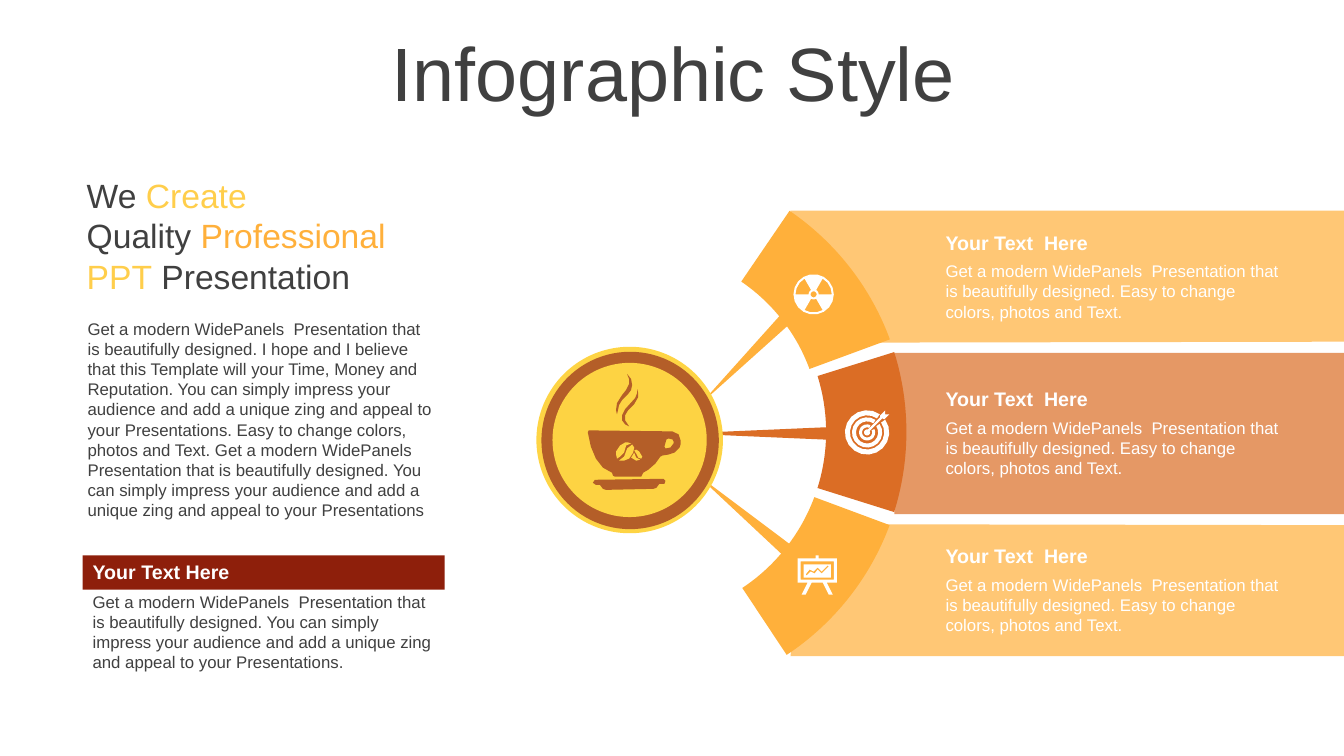
import math
from lxml import etree
from pptx import Presentation
from pptx import util as u
from pptx.dml.color import RGBColor
from pptx.enum import shapes, text
from pptx.oxml.ns import qn

PX = 9144  # one px is a hundredth of an inch
WIDE, HIGH = 1333, 750
FONT = "Arial"
DARK, WHITE, AMBER, RUST = "404040", "FFFFFF", "FFB03B", "DB6D25"
LEMON, GOLD, BROWN, MAROON = "FFCE4B", "FED444", "B45E28", "8E1F0B"

# Wording
TITLE = "Infographic Style"
SLOGAN = [[("We ", DARK), ("Create", LEMON)],
          [("Quality ", DARK), ("Professional", AMBER)],
          [("PPT", LEMON), (" Presentation", DARK)]]
START = "Get a modern WidePanels  Presentation that is beautifully designed. "
IMPRESS = ("You can simply impress your audience and add a unique zing "
           "and appeal to your Presentations")
EASY = "Easy to change colors, photos and Text."
STORY = (START + "I hope and I believe that this Template will your Time, "
         "Money and Reputation. " + IMPRESS + ". " + EASY + " " + START + IMPRESS)
NOTE_HEAD, NOTE = "Your Text Here", START + IMPRESS + "."
ITEM_HEAD, ITEM = "Your Text  Here", START + EASY
ITEM_TOPS = [224, 379, 535]

# Fan: band corners, arc adjustments, spokes (left, top, height, turn)
BANDS = [("784,209 1333,209 1333,339 798,340", AMBER),
         ("798,520 1333,521 1333,651 784,651", AMBER),
         ("887,350 1333,350 1333,510 887,510", RUST)]
ARCS = [((182.58, 203.86, 0.16), AMBER), ((205.59, 10.46, 0.15), RUST),
        ((12.23, 33.86, 0.15), AMBER)]
SPOKES = [(731, 298, 120, 225, AMBER), (746, 355, 150, 270, RUST),
          (729, 448, 120, 310, AMBER)]

# Icons: board loops, and the tip of the dart
BOARD = ["809,551 812,551 812,554 830,554 830,578 820,578 826,590 822,590 816,578 "
         "805,578 799,590 795,590 801,578 791,578 791,554 809,554",
         "794,557 827,557 827,575 794,575", "797,560 824,560 824,573 797,573",
         "821,561 822,562 815,569 811,565 808,569 804,567 800,571 "
         "799,570 803,565 807,567 811,563 815,567"]
DART_TIP = "860,427 873,414 873,412 878,407 878,411 882,411 877,416 875,415 862,428"

# Coffee badge: discs (left, top, size), then outlines of the drawing
DISCS = [(532, 344, 185, GOLD), (537, 349, 176, BROWN), (548, 360, 153, "FDD343")]
CUP = ["675,437 673,431 667,428 584,427 583,429 586,443 591,455 598,464 607,469 "
       "608,472 610,473 636,473 638,469 643,466 650,460 655,453 657,452 663,451 "
       "669,449 674,444 675,441",
       "668,440 665,444 660,445 659,443 661,436 663,435 667,436 668,438"]
SAUCER = ["601,486 598,485 595,481 591,481 588,479 590,476 658,475 660,477 659,480 "
          "654,480 651,484 648,485"]
STEAM = [["622,371 626,376 627,382 626,387 623,391 617,397 614,402 613,407 612,411 "
          "611,407 612,400 617,392 621,387 624,381 624,376"],
         ["632,386 633,390 633,394 629,401 623,407 620,412 620,417 624,423 620,421 "
          "617,417 617,412 620,406 630,395 632,390"]]
BEANS = [["614,457 619,453 622,445 627,441 629,444 628,449 624,455 619,457"],
         ["623,439 626,440 621,442 619,449 615,453 612,455 611,451 611,448 615,442 "
          "620,439"],
         ["637,453 636,455 633,454 631,450 629,447 631,446 634,448"],
         ["635,456 631,457 626,454 629,449 631,454"]]


def dots(line):
    return [tuple(map(int, pair.split(","))) for pair in line.split()]


def arc(x, y, r, a, b):
    steps = max(3, round(abs(b - a) / 20))
    turns = [math.radians(a + (b - a) * k / steps) for k in range(steps + 1)]
    return [(x + r * math.cos(t), y + r * math.sin(t)) for t in turns]


def slice_of(x, y, near, far, a, b):
    return arc(x, y, far, a, b) + arc(x, y, near, b, a)


def paint(shape, fill, alpha=None):
    shape.shadow.inherit = False
    shape.fill.solid()
    shape.fill.fore_color.rgb = RGBColor.from_string(fill)
    shape.line.fill.background()
    if alpha:
        tone = shape.fill._xPr.find(qn("a:solidFill"))[0]
        etree.SubElement(tone, qn("a:alpha")).set("val", str(alpha * 1000))
    return shape


def outline(loops, fill, alpha=None):
    loops = [[(x * PX, y * PX) for x, y in loop] for loop in loops]
    pen = slide.shapes.build_freeform(*loops[0][0], scale=1.0)
    for i, loop in enumerate(loops):
        if i:
            pen.move_to(*loop[0])
        pen.add_line_segments(loop[1:], close=True)
    return paint(pen.convert_to_shape(), fill, alpha)


def preset(kind, x, y, w, h, fill):
    return paint(slide.shapes.add_shape(kind, *(n * PX for n in (x, y, w, h))), fill)


def write(shape, lines, size, bold=False, align=text.PP_ALIGN.LEFT,
          anchor=text.MSO_ANCHOR.TOP):
    frame = shape.text_frame
    frame.word_wrap = True
    frame.vertical_anchor = anchor
    for i, line in enumerate(lines):
        para = frame.add_paragraph() if i else frame.paragraphs[0]
        para.alignment = align
        for words, tint in line:
            run = para.add_run()
            run.text = words
            run.font.name, run.font.size, run.font.bold = FONT, u.Pt(size), bold
            run.font.color.rgb = RGBColor.from_string(tint)
    return frame


def box(x, y, w, h, lines, size, **style):
    shape = slide.shapes.add_textbox(*(n * PX for n in (x, y, w, h)))
    return write(shape, lines, size, **style)


deck = Presentation()
deck.slide_width, deck.slide_height = WIDE * PX, HIGH * PX
slide = deck.slides.add_slide(deck.slide_layouts[6])
kinds = shapes.MSO_SHAPE
middle = text.MSO_ANCHOR.MIDDLE

# Title
head = box(35, 37, 1266, 79, [[(TITLE, DARK)]], 54,
           align=text.PP_ALIGN.CENTER, anchor=middle)
head.paragraphs[0].line_spacing = 0.9

# Fan of bands, arcs and spokes
for line, tint in BANDS:
    outline([dots(line)], tint, 70)
for bends, tint in ARCS:
    ring = preset(kinds.BLOCK_ARC, 368, 163, 531, 531, tint)
    for i, value in enumerate(bends):
        ring.adjustments[i] = value
for x, y, h, turn, tint in SPOKES:
    preset(kinds.ISOSCELES_TRIANGLE, x, y, 13, h, tint).rotation = turn

# White icons
outline([dots(line) for line in BOARD], WHITE)
outline([arc(807, 292, 20, 0, 360), arc(807, 292, 3, 0, 360)]
        + [slice_of(807, 292, 5, 18, a, a + 60) for a in (60, 180, 300)], WHITE)
for near, far, gap in [(17, 22, 20), (11, 15, 22), (5, 8, 40)]:
    outline([slice_of(860, 429, near, far, gap / 2 - 45, 315 - gap / 2)], WHITE)
outline([dots(DART_TIP) + arc(860, 429, 3, -20, 290)], WHITE)

# Band text
for top in ITEM_TOPS:
    box(928, top + 30, 356, 71, [[(ITEM, WHITE)]], 12)
    box(928, top, 356, 34, [[(ITEM_HEAD, WHITE)]], 14, bold=True)

# Left column
box(77, 311, 362, 212, [[(STORY, DARK)]], 12)
box(82, 582, 362, 91, [[(NOTE, DARK)]], 12)
write(preset(kinds.RECTANGLE, 82, 551, 359, 34, MAROON), [[(NOTE_HEAD, WHITE)]], 14,
      bold=True)
slogan = box(82, 173, 362, 121, SLOGAN, 24, anchor=middle)
slogan.margin_left = slogan.margin_right = 4 * PX
slogan.margin_top = slogan.margin_bottom = 0

# Coffee badge
for x, y, size, tint in DISCS:
    preset(kinds.OVAL, x, y, size, size, tint)
for tint, parts in [(BROWN, [CUP, SAUCER] + STEAM), (GOLD, BEANS)]:
    for part in parts:
        outline([dots(line) for line in part], tint)

deck.save("out.pptx")
